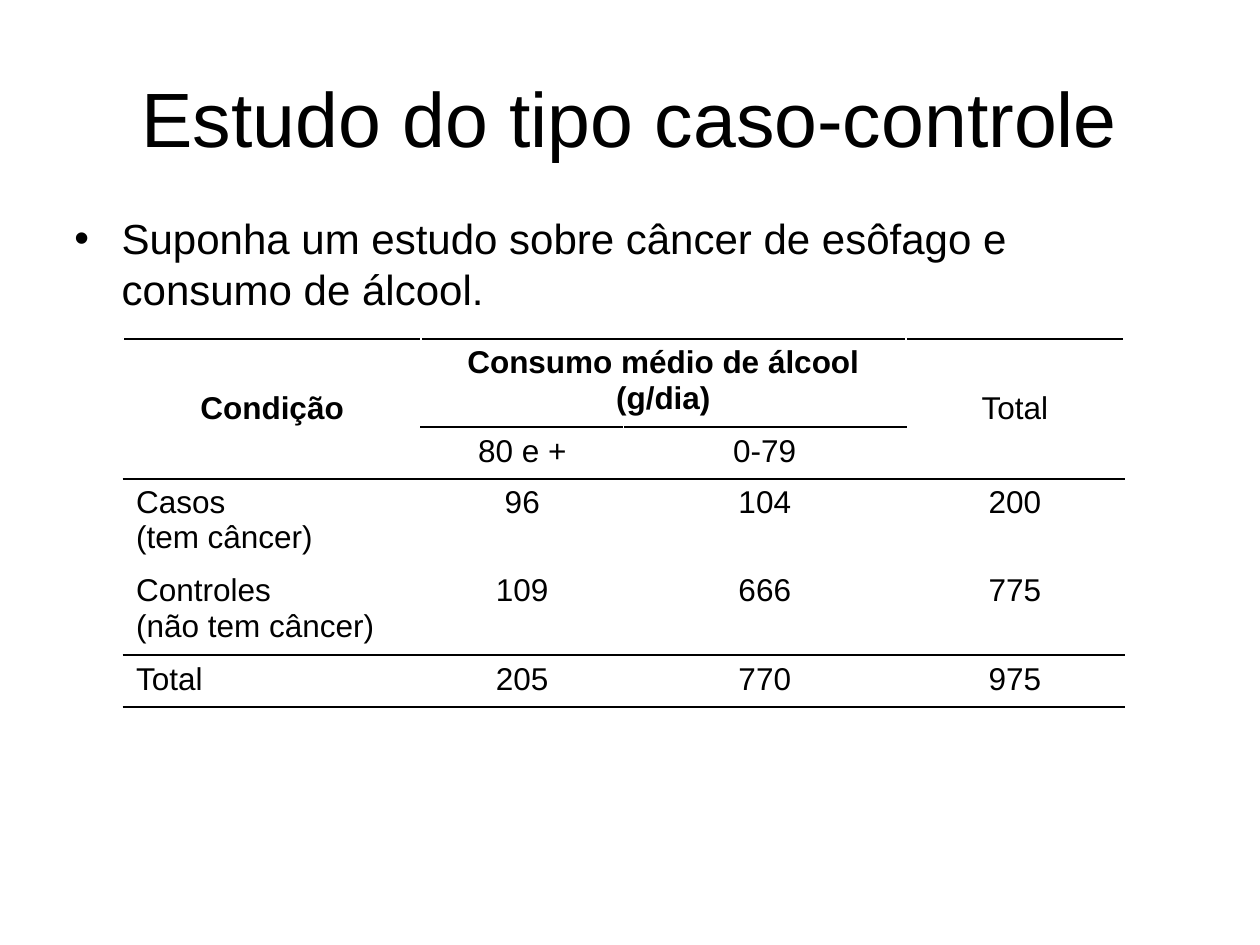
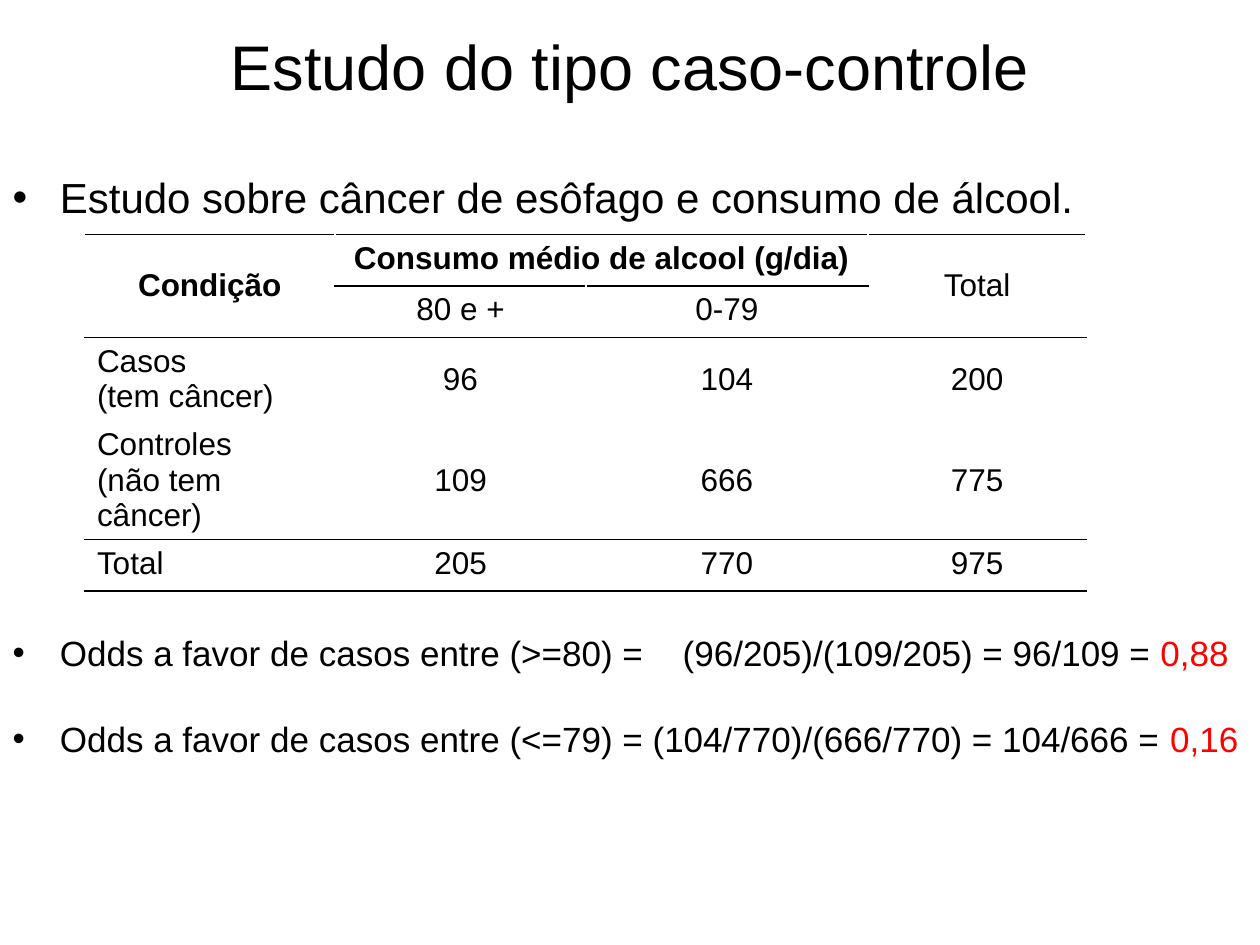
from dataclasses import dataclass

from lxml import etree
from pptx import Presentation, util as u
from pptx.dml.color import RGBColor
from pptx.enum import text
from pptx.oxml import ns


@dataclass(frozen=True)
class Theme:
    font: str = "Arial"
    ink: str = "000000"
    paper: str = "FFFFFF"
    result: str = "FF0000"
    lead: int = 24
    odds: int = 20
    cell: int = 18
    rule: float = 1
    wide_gap: float = 16.7


THEME = Theme()
SIZE = (10, 7.5)
HEADING = "Estudo do tipo caso-controle"
GAP = "|"
COUNTS = [
    ("Casos\n(tem câncer)", "96", "104", "200"),
    ("Controles\n(não tem câncer)", "109", "666", "775"),
    ("Total", "205", "770", "975"),
]
MERGES = [((0, 0), (1, 0)), ((0, 1), (0, 2)), ((0, 3), (1, 3))]
RULES_ABOVE = {0, 1, 2, 4, 5}

SLIDES = [
    {
        "heading": {"box": (0.5, 0.3, 9, 1.25), "size": 44},
        "body": (0.49, 1.64, 9, 1.24),
        "points": [
            (THEME.lead, None,
             ["Suponha um estudo sobre câncer de esôfago e consumo de álcool."]),
        ],
        "exposure": "Consumo médio de álcool (g/dia)",
        "corner": (0.98, 2.69),
        "columns": (2.36, 1.61, 2.24, 1.73),
        "rows": (0.7, 0.41, 0.7, 0.7, 0.41),
        "centred_rows": {0},
    },
    {
        "heading": {"box": (0.5, -0.03, 9, 1.1), "size": 36},
        "body": (0, 1.31, 10, 4.95),
        "points": [
            (THEME.lead, None,
             ["Estudo sobre câncer de esôfago e consumo de álcool."]),
            (THEME.odds, 234,
             ["Odds a favor de casos entre (>=80) =", GAP,
              "(96/205)/(109/205) = 96/109 = ", "0,88"]),
            (THEME.odds, 25,
             ["Odds a favor de casos entre (<=79) = (104/770)/(666/770) = 104/666 = ",
              "0,16"]),
        ],
        "exposure": "Consumo médio de alcool (g/dia)",
        "corner": (0.67, 1.86),
        "columns": (1.99, 1.99, 2.24, 1.73),
        "rows": (0.41, 0.41, 0.66, 0.94, 0.41),
        "centred_rows": {0, 2, 3},
    },
]


def place(holder, box):
    holder.left, holder.top, holder.width, holder.height = map(u.Inches, box)
    holder.text_frame.auto_size = text.MSO_AUTO_SIZE.NONE


def style(run, size, colour=THEME.ink, bold=False):
    run.font.name = THEME.font
    run.font.size = u.Pt(size)
    run.font.bold = bold
    run.font.color.rgb = RGBColor.from_string(colour)


def write_heading(heading, box, size):
    place(heading, box)
    heading.text_frame.text = HEADING
    style(heading.text_frame.paragraphs[0].runs[0], size)


def write_points(body, box, points):
    place(body, box)
    frame = body.text_frame
    for index, (size, before, parts) in enumerate(points):
        point = frame.add_paragraph() if index else frame.paragraphs[0]
        if before is not None:
            point.space_before = u.Pt(before)
        for part in parts:
            run = point.add_run()
            run.text = " " if part == GAP else part
            style(run, size, THEME.result if part.startswith("0,") else THEME.ink)
            if part == GAP:
                run.font._element.set("spc", str(round(THEME.wide_gap * 100)))


def rule_cell(cell, row):
    colours = {
        "lnL": THEME.paper,
        "lnR": THEME.paper,
        "lnT": THEME.ink if row in RULES_ABOVE else THEME.paper,
        "lnB": THEME.ink if row + 1 in RULES_ABOVE else THEME.paper,
    }
    properties = cell._tc.get_or_add_tcPr()
    for index, (side, colour) in enumerate(colours.items()):
        line = etree.Element(ns.qn(f"a:{side}"), w=str(u.Pt(THEME.rule)))
        fill = etree.SubElement(line, ns.qn("a:solidFill"))
        etree.SubElement(fill, ns.qn("a:srgbClr"), val=colour)
        properties.insert(index, line)


def write_cell(cell, row, column, words, centred):
    cell.fill.background()
    rule_cell(cell, row)
    cell.vertical_anchor = (text.MSO_ANCHOR.MIDDLE if centred and (row or column in (0, 3))
                            else text.MSO_ANCHOR.TOP)
    cell.text_frame.text = words
    for paragraph in cell.text_frame.paragraphs:
        if row < 2 or column:
            paragraph.alignment = text.PP_ALIGN.CENTER
        for run in paragraph.runs:
            style(run, THEME.cell, bold=row == 0 and column < 3)


def add_counts(slide, content):
    columns, rows = content["columns"], content["rows"]
    lines = [("Condição", content["exposure"], "", "Total"),
             ("", "80 e +", "0-79", ""), *COUNTS]
    extent = (*content["corner"], sum(columns), sum(rows))
    counts = slide.shapes.add_table(len(rows), len(columns), *map(u.Inches, extent)).table
    counts.first_row = counts.horz_banding = False
    for column, width in zip(counts.columns, columns):
        column.width = u.Inches(width)
    for row, height in zip(counts.rows, rows):
        row.height = u.Inches(height)
    for first, last in MERGES:
        counts.cell(*first).merge(counts.cell(*last))
    for row, line in enumerate(lines):
        for column, words in enumerate(line):
            write_cell(counts.cell(row, column), row, column, words,
                       row in content["centred_rows"])


def main():
    deck = Presentation()
    deck.slide_width, deck.slide_height = map(u.Inches, SIZE)
    for content in SLIDES:
        slide = deck.slides.add_slide(deck.slide_layouts[1])
        write_heading(slide.shapes.title, **content["heading"])
        write_points(slide.placeholders[1], content["body"], content["points"])
        add_counts(slide, content)
    deck.save("out.pptx")


if __name__ == "__main__":
    main()
